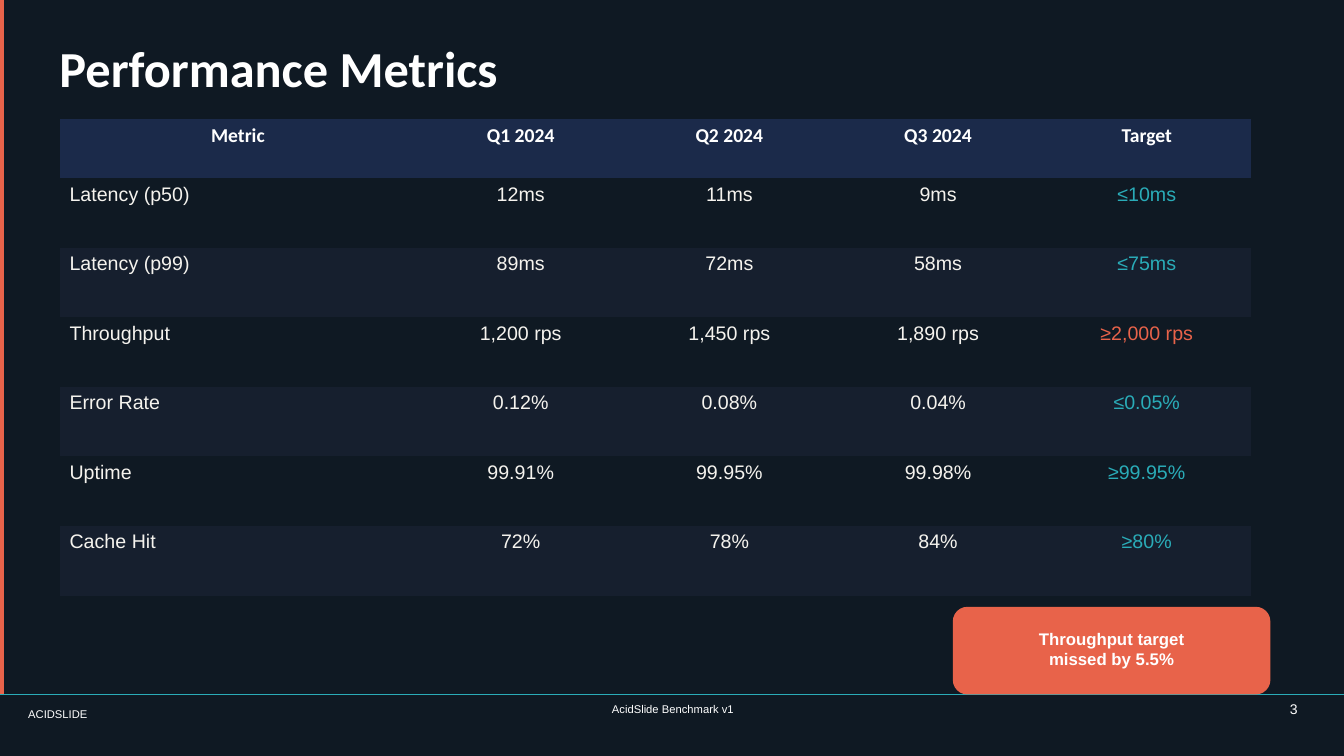
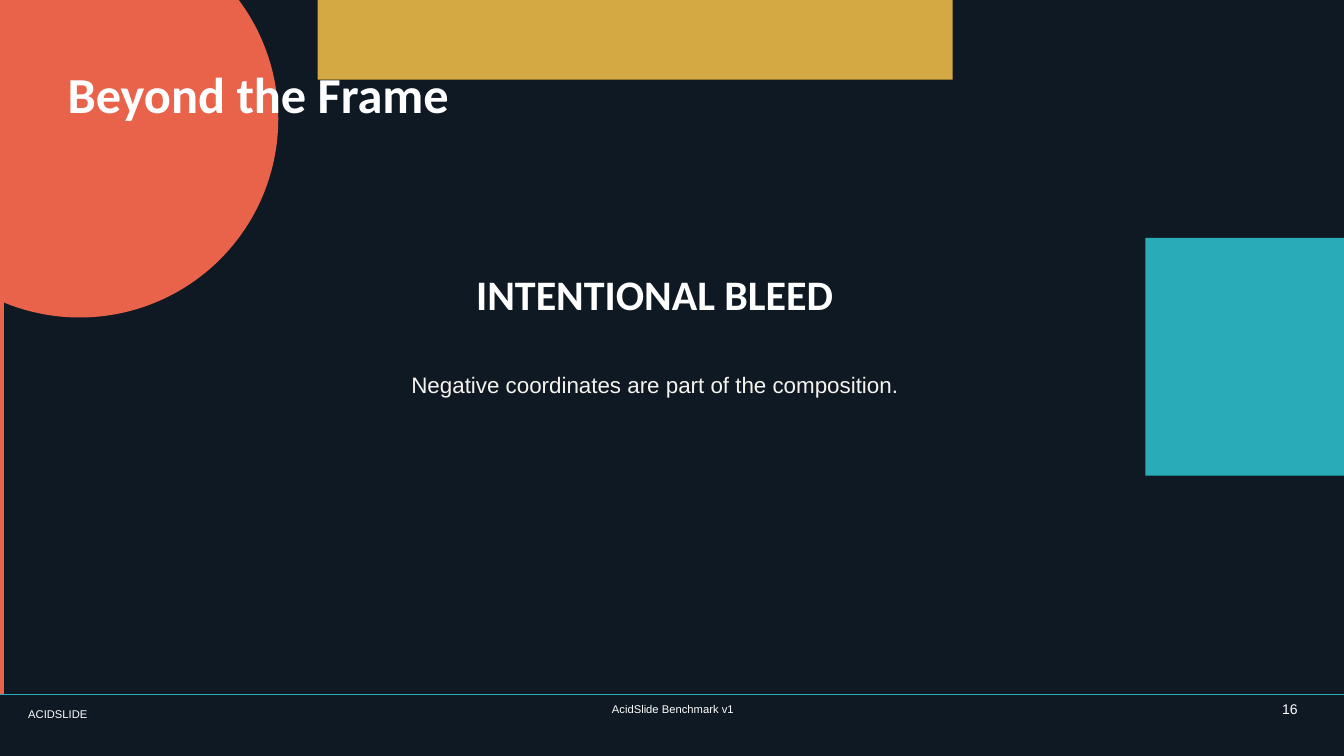
from dataclasses import dataclass

from lxml.etree import SubElement
from pptx import Presentation
from pptx.dml.color import RGBColor
from pptx.enum.shapes import MSO_CONNECTOR, MSO_SHAPE
from pptx.enum.text import MSO_ANCHOR, PP_ALIGN
from pptx.oxml.ns import qn
from pptx.util import Inches, Pt


@dataclass(frozen=True)
class TextStyle:
    font: str
    size: int
    color: str
    bold: bool = False


@dataclass(frozen=True)
class Theme:
    background: str = "0F1923"
    stripe: str = "161F2E"
    header: str = "1B2A4A"
    coral: str = "E8634A"
    teal: str = "2AACB8"
    gold: str = "D4A843"
    title: TextStyle = TextStyle("Calibri", 36, "FFFFFF", True)
    statement: TextStyle = TextStyle("Calibri", 30, "FFFFFF", True)
    body: TextStyle = TextStyle("Arial", 16, "F5F3EE")
    callout: TextStyle = TextStyle("Arial", 12, "FFFFFF", True)
    column_head: TextStyle = TextStyle("Calibri", 14, "FFFFFF", True)
    cell: TextStyle = TextStyle("Arial", 14, "F5F3EE")
    target_met: TextStyle = TextStyle("Arial", 14, "2AACB8")
    target_missed: TextStyle = TextStyle("Arial", 14, "E8634A")
    footer: TextStyle = TextStyle("Arial", 8, "FFFFFF")
    page_number: TextStyle = TextStyle("Arial", 10, "FFFFFF")


THEME = Theme()
SLIDE_WIDTH, SLIDE_HEIGHT = 13.33, 7.5
FOOTER_TOP = 6.89
NO_TABLE_STYLE = "{2D5ABB26-0587-4C30-8999-92F81FD0307C}"

COLUMN_WIDTHS = [3.54] + [2.07] * 4
ROW_HEIGHTS = [0.59] + [0.69] * 6
METRICS = [
    ["Metric", "Q1 2024", "Q2 2024", "Q3 2024", "Target"],
    ["Latency (p50)", "12ms", "11ms", "9ms", "≤10ms"],
    ["Latency (p99)", "89ms", "72ms", "58ms", "≤75ms"],
    ["Throughput", "1,200 rps", "1,450 rps", "1,890 rps", "≥2,000 rps"],
    ["Error Rate", "0.12%", "0.08%", "0.04%", "≤0.05%"],
    ["Uptime", "99.91%", "99.95%", "99.98%", "≥99.95%"],
    ["Cache Hit", "72%", "78%", "84%", "≥80%"],
]
MISSED_METRICS = {"Throughput"}


def paint(fill, color):
    fill.solid()
    fill.fore_color.rgb = RGBColor.from_string(color)


def write(frame, text, style, align):
    frame.text = text
    for paragraph in frame.paragraphs:
        paragraph.alignment = align
        for run in paragraph.runs:
            run.font.name = style.font
            run.font.size = Pt(style.size)
            run.font.bold = style.bold
            run.font.color.rgb = RGBColor.from_string(style.color)


def clear_insets(frame):
    frame.margin_left = frame.margin_right = 0
    frame.margin_top = frame.margin_bottom = 0


def add_text(slide, box, text, style, align=PP_ALIGN.LEFT, anchor=MSO_ANCHOR.MIDDLE):
    frame = slide.shapes.add_textbox(*map(Inches, box)).text_frame
    frame.word_wrap = True
    frame.vertical_anchor = anchor
    clear_insets(frame)
    write(frame, text, style, align)


def add_block(slide, box, color, geometry=MSO_SHAPE.RECTANGLE):
    block = slide.shapes.add_shape(geometry, *map(Inches, box))
    block.shadow.inherit = False
    paint(block.fill, color)
    block.line.fill.background()
    return block


def add_callout(slide, box, text):
    callout = add_block(slide, box, THEME.coral, MSO_SHAPE.ROUNDED_RECTANGLE)
    frame = callout.text_frame
    frame.vertical_anchor = MSO_ANCHOR.MIDDLE
    clear_insets(frame)
    frame.margin_bottom = Inches(0.04)
    write(frame, text, THEME.callout, PP_ALIGN.CENTER)


def add_footer_rule(slide):
    rule = slide.shapes.add_connector(
        MSO_CONNECTOR.STRAIGHT,
        0, Inches(FOOTER_TOP), Inches(SLIDE_WIDTH), Inches(FOOTER_TOP),
    )
    rule.line.color.rgb = RGBColor.from_string(THEME.teal)
    rule.line.width = Pt(0.5)
    SubElement(rule._element.spPr, qn("a:effectLst"))


def cell_style(row, column, metric):
    if row == 0:
        return THEME.column_head
    if column < len(COLUMN_WIDTHS) - 1:
        return THEME.cell
    return THEME.target_missed if metric in MISSED_METRICS else THEME.target_met


def row_color(row):
    if row == 0:
        return THEME.header
    return THEME.background if row % 2 else THEME.stripe


def add_metrics_table(slide, left, top):
    size = sum(COLUMN_WIDTHS), sum(ROW_HEIGHTS)
    table = slide.shapes.add_table(
        len(ROW_HEIGHTS), len(COLUMN_WIDTHS), *map(Inches, (left, top, *size))
    ).table
    table.horz_banding = False
    table._tbl.tblPr.find(qn("a:tableStyleId")).text = NO_TABLE_STYLE
    for column, width in zip(table.columns, COLUMN_WIDTHS):
        column.width = Inches(width)
    for row, height in zip(table.rows, ROW_HEIGHTS):
        row.height = Inches(height)
    for row, values in enumerate(METRICS):
        for column, value in enumerate(values):
            cell = table.cell(row, column)
            paint(cell.fill, row_color(row))
            align = PP_ALIGN.LEFT if row and column == 0 else PP_ALIGN.CENTER
            write(cell.text_frame, value, cell_style(row, column, values[0]), align)


def add_framed_slide(deck, number):
    slide = deck.slides.add_slide(deck.slide_layouts[6])
    add_block(slide, (0, 0, 0.04, FOOTER_TOP), THEME.coral)
    add_footer_rule(slide)
    add_text(slide, (0.28, 6.97, 1.97, 0.22), "ACIDSLIDE", THEME.footer)
    add_text(slide, (4.41, 6.97, 4.53, 0.2), "AcidSlide Benchmark v1",
             THEME.footer, PP_ALIGN.CENTER, MSO_ANCHOR.TOP)
    add_text(slide, (12.4, 6.95, 0.47, 0.24), str(number),
             THEME.page_number, PP_ALIGN.RIGHT, MSO_ANCHOR.TOP)
    return slide


def build_performance_slide(deck):
    slide = add_framed_slide(deck, 3)
    add_text(slide, (0.59, 0.31, 6.3, 0.71), "Performance Metrics", THEME.title)
    add_metrics_table(slide, 0.59, 1.18)
    add_callout(slide, (9.45, 6.02, 3.15, 0.87), "Throughput target\nmissed by 5.5%")


def build_bleed_slide(deck):
    slide = add_framed_slide(deck, 16)
    add_block(slide, (-1.18, -0.79, 3.94, 3.94), THEME.coral, MSO_SHAPE.OVAL)
    add_block(slide, (11.36, 2.36, 4.72, 2.36), THEME.teal)
    add_block(slide, (3.15, -0.39, 6.3, 1.18), THEME.gold)
    add_text(slide, (0.67, 0.3, 12, 1.25), "Beyond the Frame", THEME.title)
    add_text(slide, (3.54, 2.56, 5.91, 0.71), "INTENTIONAL BLEED",
             THEME.statement, PP_ALIGN.CENTER)
    add_text(slide, (2.95, 3.54, 7.09, 0.55),
             "Negative coordinates are part of the composition.",
             THEME.body, PP_ALIGN.CENTER)


def main():
    deck = Presentation()
    deck.slide_width = Inches(SLIDE_WIDTH)
    deck.slide_height = Inches(SLIDE_HEIGHT)
    paint(deck.slide_master.background.fill, THEME.background)
    build_performance_slide(deck)
    build_bleed_slide(deck)
    deck.save("out.pptx")


if __name__ == "__main__":
    main()
